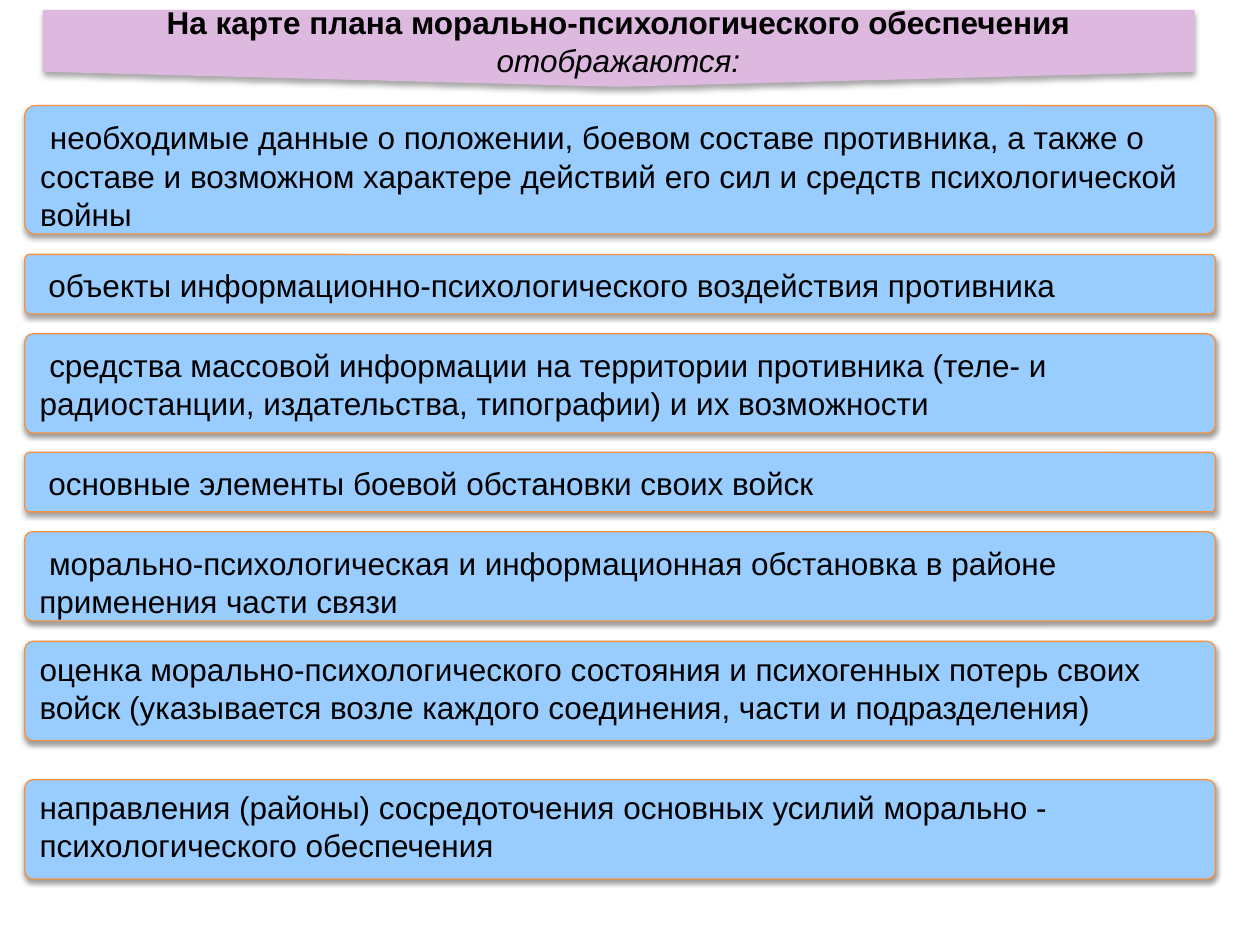
from lxml.etree import SubElement
from pptx import Presentation
from pptx.dml.color import RGBColor
from pptx.enum.shapes import MSO_SHAPE
from pptx.enum.text import MSO_ANCHOR, PP_ALIGN
from pptx.oxml.ns import qn
from pptx.util import Cm, Pt

BLACK = RGBColor(0x00, 0x00, 0x00)
LILAC = RGBColor(0xDE, 0xB9, 0xDF)
SKY = RGBColor(0x99, 0xCC, 0xFF)
ORANGE = RGBColor(0xF6, 0x92, 0x40)

TITLE = "На карте плана морально-психологического обеспечения "
ITEMS = [
    (2.13, 2.59, " ", "необходимые данные о положении, боевом составе противника, а также о составе и "
     "возможном характере действий его сил и средств психологической войны"),
    (5.13, 1.2, " ", "объекты информационно-психологического воздействия противника"),
    (6.73, 2, " ", "средства массовой информации на территории противника (теле- и радиостанции, "
     "издательства, типографии) и их возможности"),
    (9.12, 1.2, " ", "основные элементы боевой обстановки своих войск"),
    (10.72, 1.8, " ", "морально-психологическая и информационная обстановка в районе применения "
     "части связи"),
    (12.93, 2, "", "оценка морально-психологического состояния и психогенных потерь своих войск "
     "(указывается возле каждого соединения, части и подразделения)"),
    (15.72, 2, "", "направления (районы) сосредоточения основных усилий морально - "
     "психологического обеспечения"),
]


def add_shadow(sp, distance, opacity):
    """Give a shape a soft black shadow falling straight down."""
    effects = SubElement(sp._element.spPr, qn("a:effectLst"))
    shadow = SubElement(effects, qn("a:outerShdw"), blurRad=str(Pt(3.1)),
                        dist=str(Pt(distance)), dir="5400000", rotWithShape="0")
    color = SubElement(shadow, qn("a:srgbClr"), val=str(BLACK))
    SubElement(color, qn("a:alpha"), val=str(opacity * 1000))


def add_block(slide, kind, left, top, width, height, fill, adjustments, line=None,
              anchor=MSO_ANCHOR.TOP, align=PP_ALIGN.LEFT, shadow=(1.6, 38)):
    """Add a filled shape with a shadow and return its paragraph."""
    sp = slide.shapes.add_shape(kind, Cm(left), Cm(top), Cm(width), Cm(height))
    for i, value in enumerate(adjustments):
        sp.adjustments[i] = value
    sp.fill.solid()
    sp.fill.fore_color.rgb = fill
    if line is None:
        sp.line.fill.background()
    else:
        sp.line.color.rgb = line
        sp.line.width = Pt(0.75)
    add_shadow(sp, *shadow)
    tf = sp.text_frame
    tf.word_wrap = True
    tf.vertical_anchor = anchor
    p = tf.paragraphs[0]
    p.alignment = align
    return p


def add_text(p, text, size=18, bold=False, italic=False):
    """Append a formatted run to a paragraph."""
    r = p.add_run()
    r.text = text
    r.font.name = "Arial"
    r.font.size = Pt(size)
    r.font.bold = bold
    r.font.italic = italic
    r.font.color.rgb = BLACK


def add_title(slide):
    """Add the heading as a wide arrow pointing down."""
    p = add_block(slide, MSO_SHAPE.DOWN_ARROW, 0.86, 0.2, 23.22, 1.55, LILAC, (1, 0.195),
                  anchor=MSO_ANCHOR.MIDDLE, align=PP_ALIGN.CENTER, shadow=(1.8, 35))
    add_text(p, TITLE, bold=True)
    add_text(p, "отображаются:", italic=True)


def add_item(slide, top, height, lead, text):
    """Add one rounded list item."""
    p = add_block(slide, MSO_SHAPE.ROUNDED_RECTANGLE, 0.5, top, 24, height, SKY, (0.083,),
                  line=ORANGE)
    if lead:
        add_text(p, lead, size=20)
    add_text(p, text)


def main():
    """Build the slide and save it."""
    prs = Presentation()
    prs.slide_width, prs.slide_height = Cm(25.4), Cm(19.05)
    slide = prs.slides.add_slide(prs.slide_layouts[6])
    add_title(slide)
    for item in ITEMS:
        add_item(slide, *item)
    prs.save("out.pptx")


if __name__ == "__main__":
    main()
